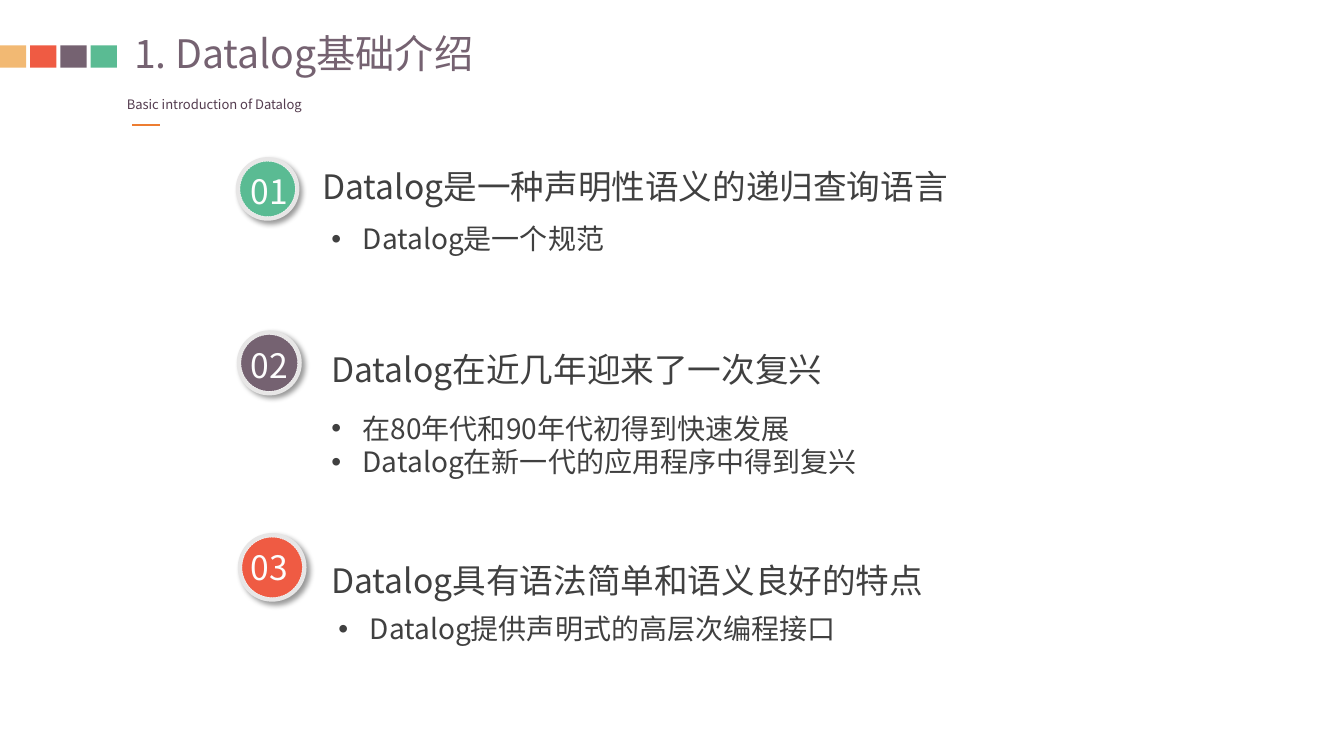
from lxml import etree
from pptx import Presentation
from pptx.dml.color import RGBColor
from pptx.enum.dml import MSO_LINE
from pptx.enum.shapes import MSO_CONNECTOR, MSO_SHAPE
from pptx.enum.text import MSO_AUTO_SIZE, PP_ALIGN
from pptx.oxml import parse_xml
from pptx.oxml.ns import qn
from pptx.util import Inches, Pt

RECTANGLE, OVAL = MSO_SHAPE.RECTANGLE, MSO_SHAPE.OVAL
STRAIGHT = MSO_CONNECTOR.STRAIGHT
DASH = MSO_LINE.DASH
GROW = MSO_AUTO_SIZE.SHAPE_TO_FIT_TEXT
JUSTIFY = PP_ALIGN.JUSTIFY
COLUMNS = 40

AMBER, RED, PLUM, GREEN = "F2B973", "EF5B43", "756271", "5ABB93"
ORANGE, DARK_PLUM, GREY = "ED7D31", "543C4F", "404040"
PALE_GREY, NEAR_WHITE, WHITE = "E7E6E6", "FEFEFE", "FDFDFD"

SHADOW = (
    '<a:effectLst xmlns:a="http://schemas.openxmlformats.org/drawingml/2006/main">'
    '<a:outerShdw blurRad="50800" dist="38100" dir="2700000" algn="tl" rotWithShape="0">'
    '<a:srgbClr val="000000"><a:alpha val="40000"/></a:srgbClr>'
    '</a:outerShdw></a:effectLst>'
)


def rgb(value):
    return RGBColor.from_string(value)


class SlideBuilder:
    font = "Noto Sans CJK SC"

    def __init__(self, presentation):
        self.cell = presentation.slide_width / COLUMNS
        self.slide = presentation.slides.add_slide(presentation.slide_layouts[6])

    def grid(self, *cells):
        return [round(cell * self.cell) for cell in cells]

    def shape(self, preset, box, fill=None, line=None, width=0, dash=None, shadow=False):
        shape = self.slide.shapes.add_shape(preset, *self.grid(*box))
        shape.shadow.inherit = False
        if fill:
            shape.fill.solid()
            shape.fill.fore_color.rgb = rgb(fill)
        else:
            shape.fill.background()
        if line:
            shape.line.color.rgb = rgb(line)
            shape.line.width = Pt(width)
            shape.line.dash_style = dash
        else:
            shape.line.fill.background()
        if shadow:
            properties = shape._element.spPr
            properties.replace(properties.find(qn("a:effectLst")), parse_xml(SHADOW))

    def rule(self, start, end, color, width):
        rule = self.slide.shapes.add_connector(STRAIGHT, *self.grid(*start, *end))
        rule.line.color.rgb = rgb(color)
        rule.line.width = Pt(width)
        etree.SubElement(rule._element.spPr, qn("a:effectLst"))

    def text(self, box, content, size, color, wrap=True, align=None, flush=False, bullet=False):
        frame = self.slide.shapes.add_textbox(*self.grid(*box)).text_frame
        frame.word_wrap = wrap
        frame.auto_size = GROW
        if flush:
            frame.margin_left = frame.margin_right = frame.margin_top = frame.margin_bottom = 0
        frame.text = content
        for paragraph in frame.paragraphs:
            paragraph.alignment = align
            if bullet:
                self.bullet(paragraph)
            for run in paragraph.runs:
                run.font.size = Pt(size)
                run.font.color.rgb = rgb(color)
                run.font.name = self.font
                etree.SubElement(run.font._element, qn("a:ea"), typeface=self.font)

    def bullet(self, paragraph):
        properties = paragraph._p.get_or_add_pPr()
        indent = Inches(0.31)
        properties.set("marL", str(indent))
        properties.set("indent", str(-indent))
        etree.SubElement(properties, qn("a:buFont"), typeface="Arial")
        etree.SubElement(properties, qn("a:buChar"), char="•")

    def badge(self, left, top, diameter, color, number):
        inset = 0.06
        inner = diameter - 2 * inset
        self.shape(OVAL, (left, top, diameter, diameter), color, PALE_GREY, 3, shadow=True)
        self.shape(OVAL, (left + inset, top + inset, inner, inner),
                   line=NEAR_WHITE, width=0.25, dash=DASH)
        self.text((7.16, top + 0.21, 1.8, 1.5), number, 24, WHITE, wrap=False)


presentation = Presentation()
presentation.slide_width = Inches(13.33)
presentation.slide_height = Inches(7.5)
intro = SlideBuilder(presentation)

for position, color in enumerate((AMBER, RED, PLUM, GREEN)):
    intro.shape(RECTANGLE, (position * 0.9, 1.35, 0.78, 0.66), color)

intro.text((3.99, 0.87, 11.97, 1.41), "1. Datalog基础介绍", 28, PLUM, flush=True)
intro.text((3.48, 2.73, 6.09, 0.78), "Basic introduction of Datalog", 9.3, DARK_PLUM, wrap=False)
intro.rule((3.93, 3.72), (4.77, 3.72), ORANGE, 1.5)

topics = [
    ((7.08, 4.74, 1.77), GREEN,
     (9.3, 4.8, 24.81, 1.5), "Datalog是一种声明性语义的递归查询语言",
     (9.57, 6.45, 27.84, 1.32), ["Datalog是一个规范"]),
    ((7.11, 9.9, 1.81), PLUM,
     (9.57, 10.23, 28.68, 1.5), "Datalog在近几年迎来了一次复兴",
     (9.57, 12.09, 29.58, 2.31),
     ["在80年代和90年代初得到快速发展", "Datalog在新一代的应用程序中得到复兴"]),
    ((7.14, 15.93, 1.92), RED,
     (9.57, 16.53, 27.72, 1.5), "Datalog具有语法简单和语义良好的特点",
     (9.78, 18.06, 28.29, 1.32), ["Datalog提供声明式的高层次编程接口"]),
]
for number, (circle, color, heading_box, heading, points_box, points) in enumerate(topics, 1):
    intro.badge(*circle, color, f"{number:02}")
    intro.text(heading_box, heading, 24, GREY, align=JUSTIFY)
    intro.text(points_box, "\n".join(points), 20, GREY, bullet=True)

presentation.save("out.pptx")
